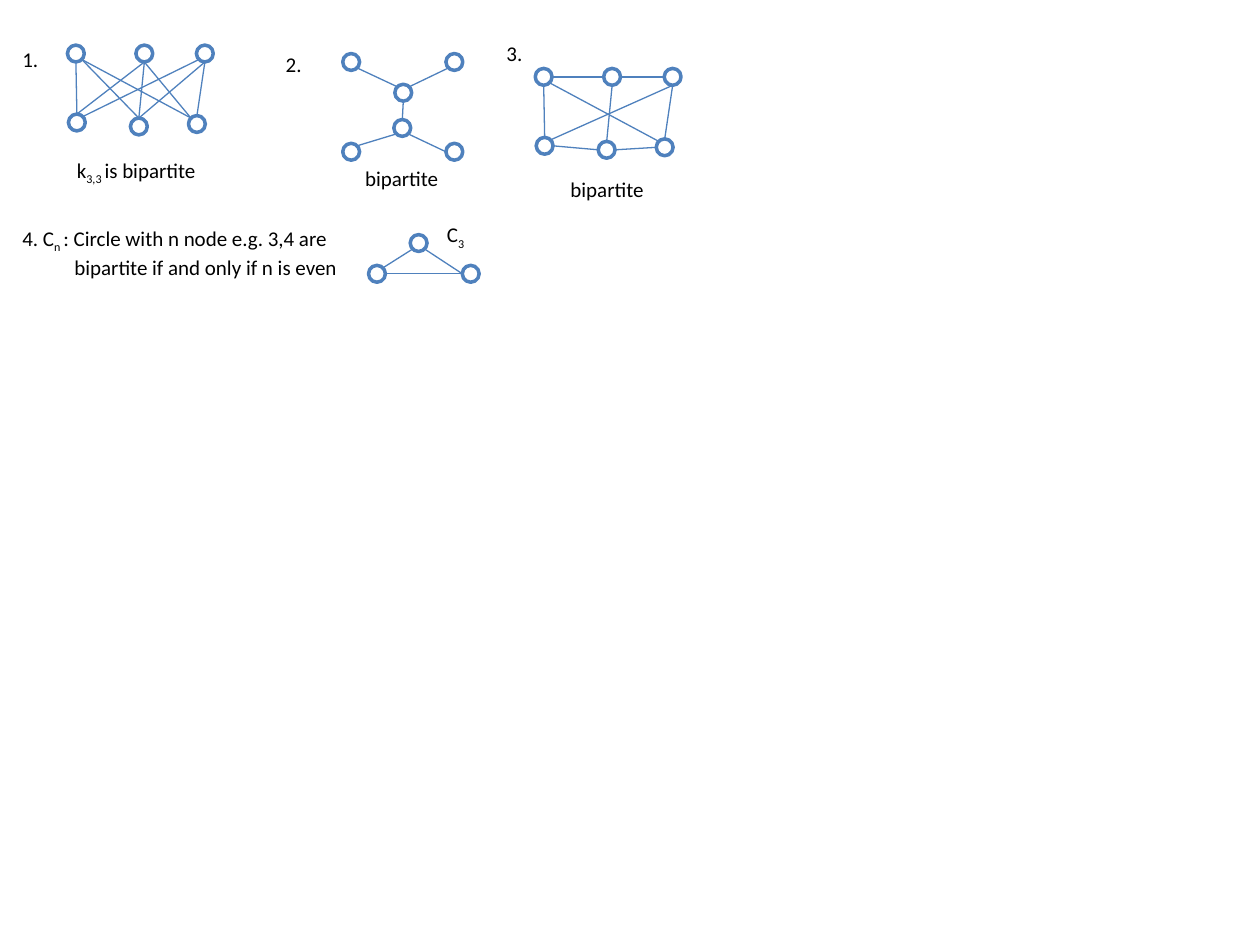
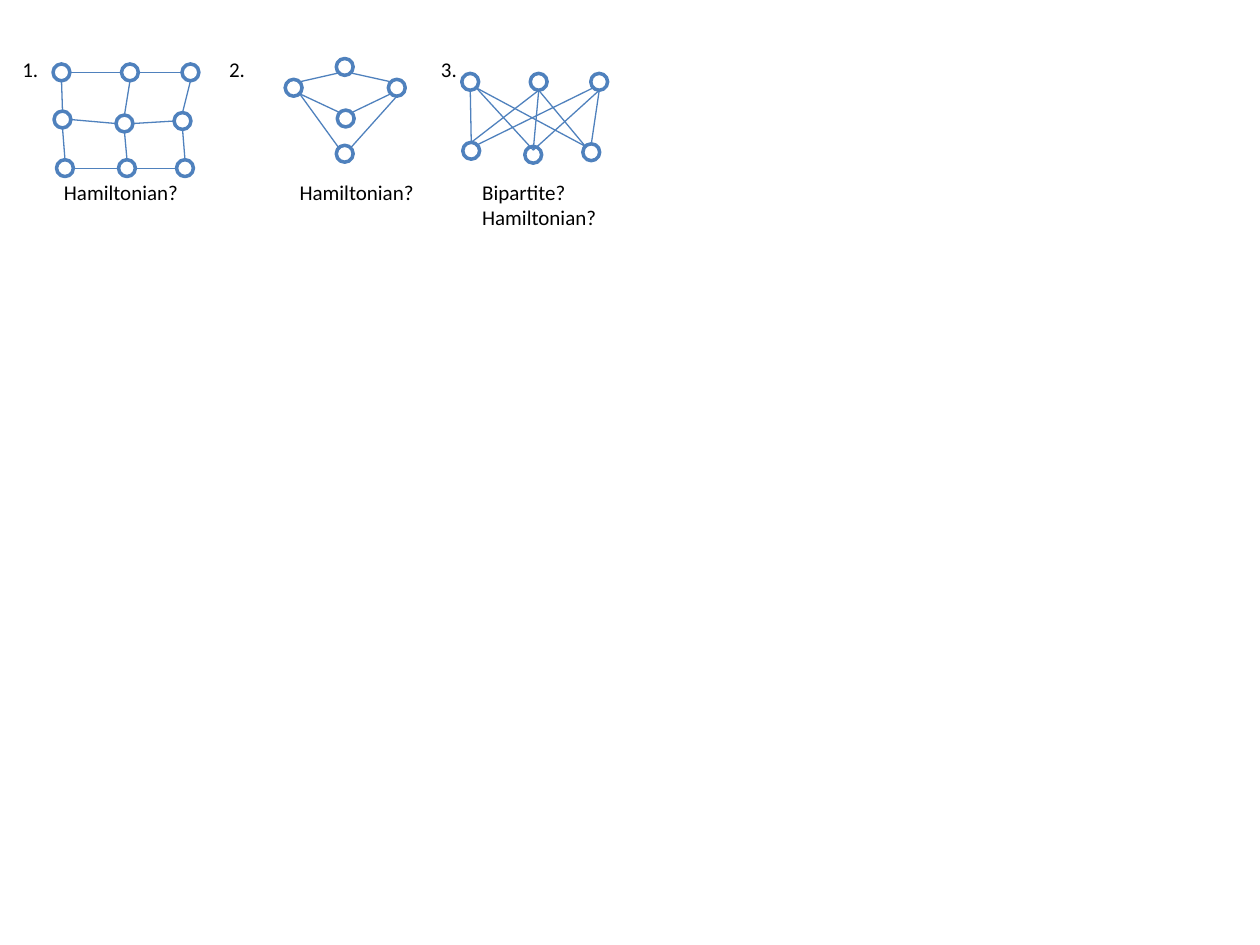
from dataclasses import dataclass

from lxml import etree
from pptx import Presentation
from pptx.dml.color import RGBColor
from pptx.enum.shapes import MSO_CONNECTOR, MSO_SHAPE
from pptx.enum.text import MSO_AUTO_SIZE
from pptx.oxml.ns import qn
from pptx.util import Cm, Pt

BLUE = RGBColor(0x4F, 0x81, 0xBD)
WHITE = RGBColor(0xFF, 0xFF, 0xFF)
BLACK = RGBColor(0x00, 0x00, 0x00)
OVAL = MSO_SHAPE.OVAL
STRAIGHT = MSO_CONNECTOR.STRAIGHT
GROW = MSO_AUTO_SIZE.SHAPE_TO_FIT_TEXT

FONT = "Calibri"
SIZE = Pt(12)
RADIUS = 0.17
ROW = 0.51  # height of one more text line, in cm
DIAG = 0.71

# Where an edge meets a node, in radii from its centre; I lies just inside the top.
PORTS = {
    "N": (0, -1), "NE": (DIAG, -DIAG), "E": (1, 0), "SE": (DIAG, DIAG),
    "S": (0, 1), "SW": (-DIAG, DIAG), "W": (-1, 0), "NW": (-DIAG, -DIAG),
    "I": (0, -0.55),
}

Point = tuple[float, float]


@dataclass(frozen=True)
class Graph:
    """Node centres in cm from the origin, and edges such as '0S-3N'."""
    origin: Point
    nodes: list[Point]
    edges: str

    def centre(self, index: int) -> Point:
        x, y = self.nodes[index]
        return self.origin[0] + x, self.origin[1] + y

    def port(self, end: str) -> Point:
        x, y = self.centre(int(end[0]))
        dx, dy = PORTS[end[1:]]
        return x + dx * RADIUS, y + dy * RADIUS


@dataclass(frozen=True)
class Label:
    """Text lines, in which every second part between bars is a subscript."""
    left: float
    top: float
    width: float
    lines: tuple[str, ...]
    wrap: bool = False
    indent: float = 0


TOP = [(0, 0), (1.38, 0), (2.6, 0)]
LOW = [(0.02, 1.39), (1.27, 1.47), (2.44, 1.42)]
MID = [(x, y - 0.44) for x, y in LOW]
BASE = [(x + 0.05, 1.93) for x, _ in LOW]
TREE = [(0, 0), (2.08, 0), (1.05, 0.62), (1.03, 1.33), (0, 1.81), (2.08, 1.81)]
KITE = TREE[:4] + [(1.03, -0.42)]
CYCLE = [(0, 0), (1.89, 0), (0.84, -0.62)]

K33_EDGES = "3N-0S 0SE-5NW 4N-1S 0SE-4N 1S-3N 1S-5NW 2SW-3NE 2S-4N 2S-5N"
RING_EDGES = "3N-0S 4E-5W 4N-1S 2W-1E 3E-4W 0SE-5NW 2S-3NE 2S-5N 1W-0E"
TREE_EDGES = "0SE-2NW 2NE-1SW 3N-2S 4NE-3SW 3SE-5W"
CYCLE_EDGES = "0NE-2SW 2SE-1W 0E-1W"
GRID_EDGES = ("0E-1W 1E-2W 3E-4W 4E-5W 6E-7W 7E-8W "
              "0S-3N 1S-4N 2S-5N 3S-6N 4S-7N 5S-8N")
KITE_EDGES = "0SE-2NW 2NE-1SW 3NW-0SE 0NE-4SW 1NW-4SE 3NE-1S"


def number(left: float, top: float, value: int) -> Label:
    return Label(left, top, 0.83, (f"{value}.",))


SLIDES: list[tuple[list[Graph], list[Label]]] = [
    (
        [
            Graph((1.53, 1.08), TOP + LOW, K33_EDGES),
            Graph((7.08, 1.25), TREE, TREE_EDGES),
            Graph((10.96, 1.55), TOP + LOW, RING_EDGES),
            Graph((7.6, 5.52), CYCLE, CYCLE_EDGES),
        ],
        [
            number(0.2, 0.81, 1),
            number(5.51, 0.91, 2),
            number(9.96, 0.7, 3),
            Label(1.3, 3.05, 3, ("k|3,3 |is bipartite",)),
            Label(7.11, 3.22, 2.01, ("bipartite",)),
            Label(11.25, 3.44, 2.01, ("bipartite",)),
            Label(0.2, 4.42, 7.87, ("4. C|n |: Circle with n node e.g. 3,4 are",
                                    "bipartite if and only if n is even"),
                  wrap=True, indent=1.05),
            Label(8.76, 4.35, 0.89, ("C|3",)),
        ],
    ),
    (
        [
            Graph((1.24, 1.46), TOP + MID + BASE, GRID_EDGES),
            Graph((5.92, 1.77), KITE, KITE_EDGES),
            Graph((9.48, 1.65), TOP + LOW, K33_EDGES.replace("4N", "4I")),
        ],
        [
            number(0.2, 1.02, 1),
            number(4.37, 1.02, 2),
            number(8.64, 1.02, 3),
            Label(1.04, 3.5, 2.84, ("Hamiltonian?",)),
            Label(5.79, 3.5, 2.84, ("Hamiltonian?",)),
            Label(9.47, 3.5, 2.84, ("Bipartite?", "Hamiltonian?")),
        ],
    ),
]


def draw_node(slide, centre: Point) -> None:
    x, y = centre
    node = slide.shapes.add_shape(OVAL, Cm(x - RADIUS), Cm(y - RADIUS),
                                  Cm(2 * RADIUS), Cm(2 * RADIUS))
    node.shadow.inherit = False
    node.fill.solid()
    node.fill.fore_color.rgb = WHITE
    node.line.color.rgb = BLUE
    node.line.width = Pt(2)


def draw_edge(slide, start: Point, end: Point) -> None:
    ends = [Cm(value) for value in (*start, *end)]
    edge = slide.shapes.add_connector(STRAIGHT, *ends)
    edge.line.color.rgb = BLUE
    edge.line.width = Pt(0.75)
    etree.SubElement(edge._element.spPr, qn("a:effectLst"))


def draw_graph(slide, graph: Graph) -> None:
    for index in range(len(graph.nodes)):
        draw_node(slide, graph.centre(index))
    for edge in graph.edges.split():
        start, end = edge.split("-")
        draw_edge(slide, graph.port(start), graph.port(end))


def write_line(para, line: str) -> None:
    for index, part in enumerate(line.split("|")):
        run = para.add_run()
        run.text = part
        run.font.name = FONT
        run.font.size = SIZE
        run.font.color.rgb = BLACK
        if index % 2:
            run._r.get_or_add_rPr().set("baseline", "-25000")


def draw_label(slide, label: Label) -> None:
    height = 0.77 + ROW * (len(label.lines) - 1)
    box = slide.shapes.add_textbox(Cm(label.left), Cm(label.top),
                                   Cm(label.width), Cm(height))
    frame = box.text_frame
    frame.word_wrap = label.wrap
    frame.auto_size = GROW
    for index, line in enumerate(label.lines):
        para = frame.add_paragraph() if index else frame.paragraphs[0]
        write_line(para, line)
        if index and label.indent:
            para._p.get_or_add_pPr().set("marL", str(int(Cm(label.indent))))


def main() -> None:
    deck = Presentation()
    deck.slide_width = Cm(25.4)
    deck.slide_height = Cm(19.05)
    for graphs, labels in SLIDES:
        slide = deck.slides.add_slide(deck.slide_layouts[6])
        for graph in graphs:
            draw_graph(slide, graph)
        for label in labels:
            draw_label(slide, label)
    deck.save("out.pptx")


if __name__ == "__main__":
    main()
